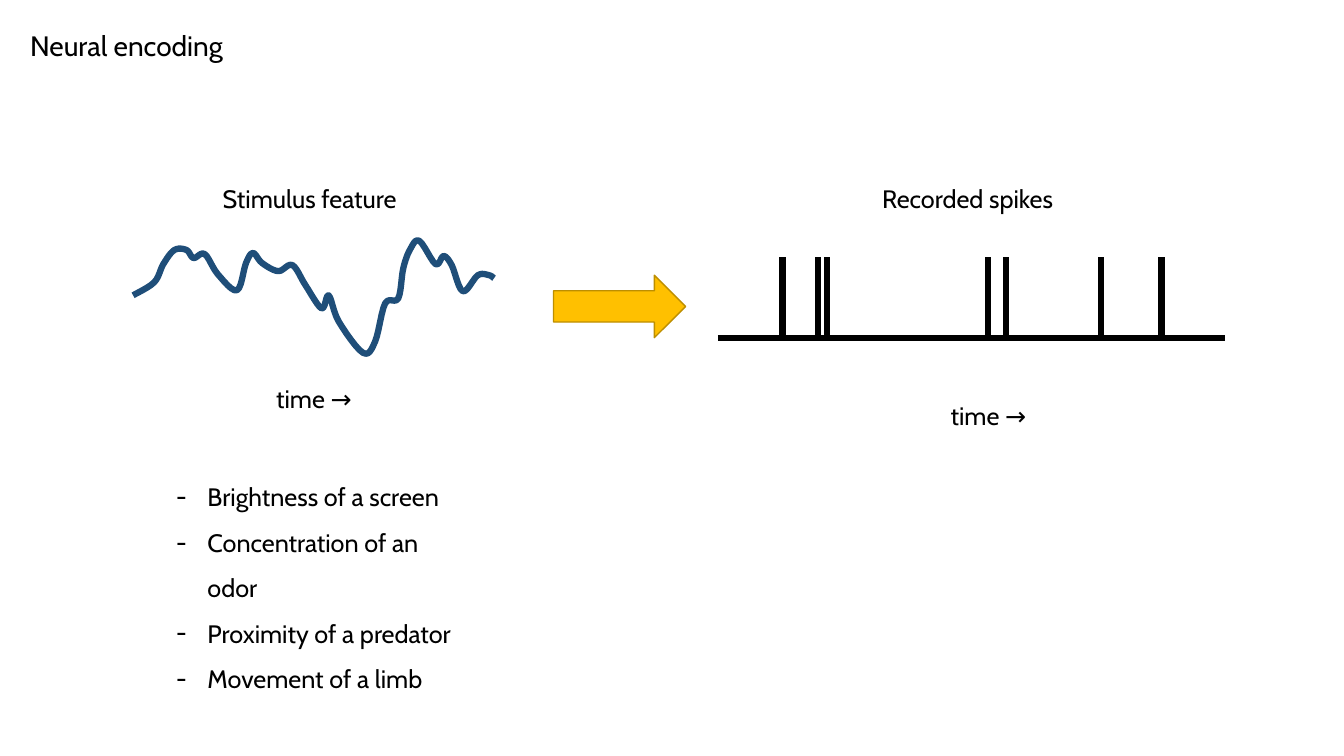
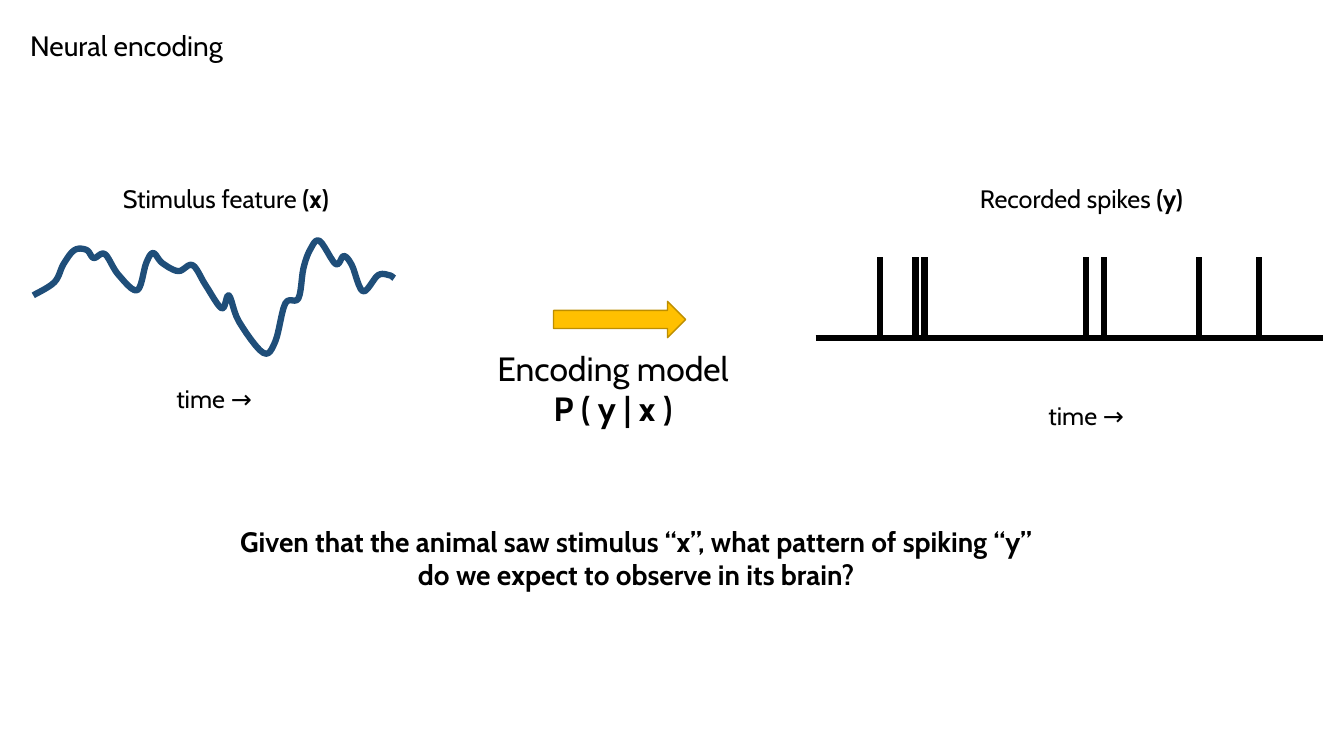
from lxml import etree
from pptx import Presentation
from pptx.dml.color import RGBColor
from pptx.enum.shapes import MSO_CONNECTOR as Connector, MSO_SHAPE as Preset
from pptx.enum.text import MSO_AUTO_SIZE as AutoSize, PP_ALIGN as Align
from pptx.oxml.ns import qn
from pptx.util import Inches, Pt

BLACK = RGBColor(0x00, 0x00, 0x00)
NAVY = RGBColor(0x1F, 0x4E, 0x79)
AMBER = RGBColor(0xFF, 0xC0, 0x00)
OCHRE = RGBColor(0xBD, 0x8E, 0x00)

TITLE = "Neural encoding"
HEADING_TOP = 1.77
LABEL_HEIGHT = 0.4
ARROW_LEFT, ARROW_WIDTH, ARROW_BOTTOM = 5.49, 1.31, 3.35

WAVE_TOP = 2.39
WAVE_STEPS = 6
WAVE_LANDMARKS = {
    "first hill": [(0, 0.54), (0.21, 0.41), (0.3, 0.23), (0.41, 0.09), (0.53, 0.09),
                   (0.6, 0.17), (0.71, 0.13), (0.84, 0.33), (1.03, 0.49)],
    "second hill": [(1.12, 0.22), (1.19, 0.12), (1.28, 0.22), (1.44, 0.3), (1.58, 0.24)],
    "deep valley": [(1.71, 0.44), (1.87, 0.67), (1.94, 0.54), (2.04, 0.8),
                    (2.28, 1.11), (2.4, 1), (2.5, 0.62), (2.63, 0.57)],
    "high peak": [(2.68, 0.27), (2.75, 0.08), (2.84, 0), (3, 0.23)],
    "last hill": [(3.08, 0.15), (3.16, 0.24), (3.27, 0.5)],
    "tail": [(3.42, 0.34), (3.53, 0.34), (3.58, 0.37)],
}

AXIS_LENGTH, AXIS_TOP, SPIKE_HEIGHT = 5.03, 3.35, 0.8
SPIKE_TIMES = [0.64, 0.99, 1.08, 2.68, 2.86, 3.8, 4.4]

EXAMPLES = ["Brightness of a screen", "Concentration of an odor",
            "Proximity of a predator", "Movement of a limb"]
QUESTION = ("Given that the animal saw stimulus “x”, what pattern of spiking “y” "
            "do we expect to observe in its brain?")


def spline(before, start, end, after, t):
    return 0.5 * (2 * start + (end - before) * t
                  + (2 * before - 5 * start + 4 * end - after) * t ** 2
                  + (3 * start - before - 3 * end + after) * t ** 3)


def smooth_curve(points, steps):
    padded = [points[0], *points, points[-1]]
    curve = [points[0]]
    for neighbours in zip(padded, padded[1:], padded[2:], padded[3:]):
        xs, ys = zip(*neighbours)
        for step in range(1, steps + 1):
            t = step / steps
            curve.append((spline(*xs, t), spline(*ys, t)))
    return curve


class Deck:
    """Holds the shared style and the slide being drawn."""

    font_name = "Cabin"
    title_size = 20
    label_size = 18
    thick_line = 4.5
    thin_line = 1

    def __init__(self):
        self.presentation = Presentation()
        self.presentation.slide_width = Inches(13.33)
        self.presentation.slide_height = Inches(7.5)
        self.slide = None

    def add_slide(self, title):
        layout = self.presentation.slide_layouts[6]
        self.slide = self.presentation.slides.add_slide(layout)
        self.text(0.2, 0.23, 12.32, 0.44, [[(title, False)]], size=self.title_size)

    def text(self, left, top, width, height, paragraphs, size=label_size,
             wrap=True, bullet=None, **paragraph_format):
        box = self.slide.shapes.add_textbox(
            Inches(left), Inches(top), Inches(width), Inches(height))
        frame = box.text_frame
        frame.word_wrap = wrap
        frame.auto_size = AutoSize.SHAPE_TO_FIT_TEXT
        for index, runs in enumerate(paragraphs):
            paragraph = frame.add_paragraph() if index else frame.paragraphs[0]
            for name, value in paragraph_format.items():
                setattr(paragraph, name, value)
            if bullet:
                self.bullet(paragraph, bullet)
            for words, bold in runs:
                self.run(paragraph, words, size, bold)

    def run(self, paragraph, words, size, bold):
        run = paragraph.add_run()
        run.text = words
        font_format = {"name": self.font_name, "size": Pt(size), "bold": bold}
        for name, value in font_format.items():
            setattr(run.font, name, value)
        run.font.color.rgb = BLACK

    def bullet(self, paragraph, character, indent=0.31):
        properties = paragraph._p.get_or_add_pPr()
        properties.set("marL", str(Inches(indent)))
        properties.set("indent", str(-Inches(indent)))
        etree.SubElement(properties, qn("a:buFont"), typeface=self.font_name)
        etree.SubElement(properties, qn("a:buChar"), char=character)

    def stroke(self, shape, color, width):
        shape.line.color.rgb = color
        shape.line.width = Pt(width)

    def line(self, start, end):
        connector = self.slide.shapes.add_connector(
            Connector.STRAIGHT, *map(Inches, start + end))
        self.stroke(connector, BLACK, self.thick_line)
        etree.SubElement(connector._element.spPr, qn("a:effectLst"))

    def arrow(self, height):
        shape = self.slide.shapes.add_shape(
            Preset.RIGHT_ARROW, Inches(ARROW_LEFT), Inches(ARROW_BOTTOM - height),
            Inches(ARROW_WIDTH), Inches(height))
        shape.shadow.inherit = False
        shape.fill.solid()
        shape.fill.fore_color.rgb = AMBER
        self.stroke(shape, OCHRE, self.thin_line)

    def wave(self, left):
        landmarks = sum(WAVE_LANDMARKS.values(), [])
        start, *others = [(Inches(left + x), Inches(WAVE_TOP + y))
                          for x, y in smooth_curve(landmarks, WAVE_STEPS)]
        builder = self.slide.shapes.build_freeform(*start)
        builder.add_line_segments(others, close=False)
        shape = builder.convert_to_shape()
        shape.shadow.inherit = False
        shape.fill.background()
        self.stroke(shape, NAVY, self.thick_line)

    def heading(self, left, width, runs):
        self.text(left, HEADING_TOP, width, LABEL_HEIGHT, [runs])

    def time_label(self, left, top):
        self.text(left, top, 0.98, LABEL_HEIGHT, [[("time →", False)]], wrap=False)

    def stimulus_panel(self, left, heading_width, heading):
        self.wave(left)
        self.time_label(left + 1.32, 3.75)
        self.heading(left + 0.79, heading_width, heading)

    def spike_panel(self, left, heading_width, heading):
        self.line((left, AXIS_TOP), (left + AXIS_LENGTH, AXIS_TOP))
        for time in SPIKE_TIMES:
            self.line((left + time, AXIS_TOP), (left + time, AXIS_TOP - SPIKE_HEIGHT))
        self.time_label(left + 2.21, 3.92)
        self.heading(left + 1.53, heading_width, heading)


def add_examples_slide(deck):
    deck.add_slide(TITLE)
    deck.stimulus_panel(1.32, 1.98, [("Stimulus feature", False)])
    deck.spike_panel(7.12, 1.98, [("Recorded spikes", False)])
    deck.arrow(0.62)
    deck.text(1.65, 4.58, 3.1, 1.92, [[(example, False)] for example in EXAMPLES],
              bullet="-", line_spacing=1.5)


def add_model_slide(deck):
    deck.add_slide(TITLE)
    deck.stimulus_panel(0.33, 2.44, [("Stimulus feature ", False), ("(x)", True)])
    deck.spike_panel(8.09, 2.27, [("Recorded spikes ", False), ("(y)", True)])
    deck.arrow(0.36)
    deck.text(4.83, 3.4, 2.5, 0.91,
              [[("Encoding model", False)], [("P ( y | x )", True)]],
              size=24, wrap=False, alignment=Align.CENTER)
    deck.text(2.14, 5.15, 8.34, 0.77, [[(QUESTION, True)]],
              size=20, alignment=Align.CENTER)


def main():
    deck = Deck()
    add_examples_slide(deck)
    add_model_slide(deck)
    deck.presentation.save("out.pptx")


if __name__ == "__main__":
    main()
